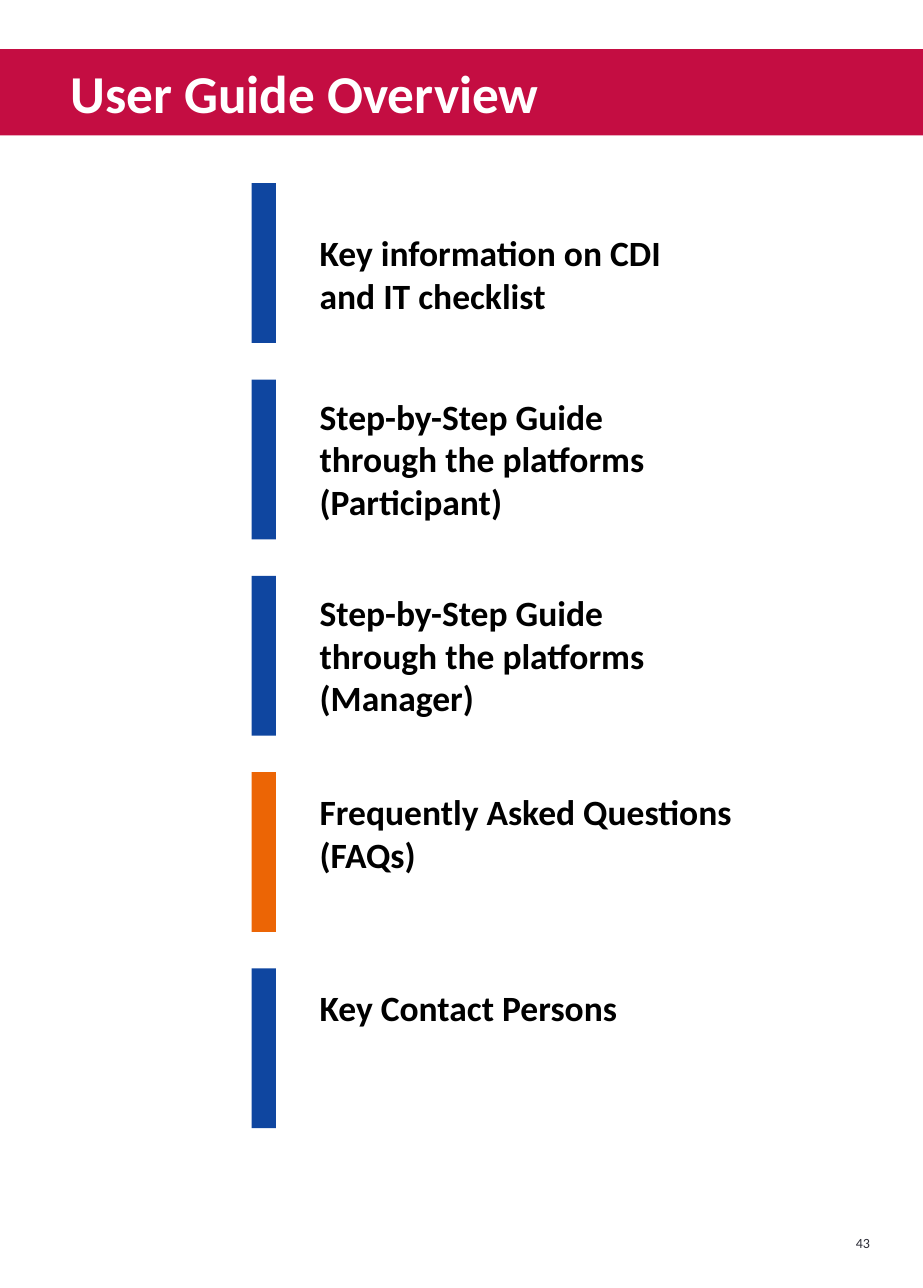
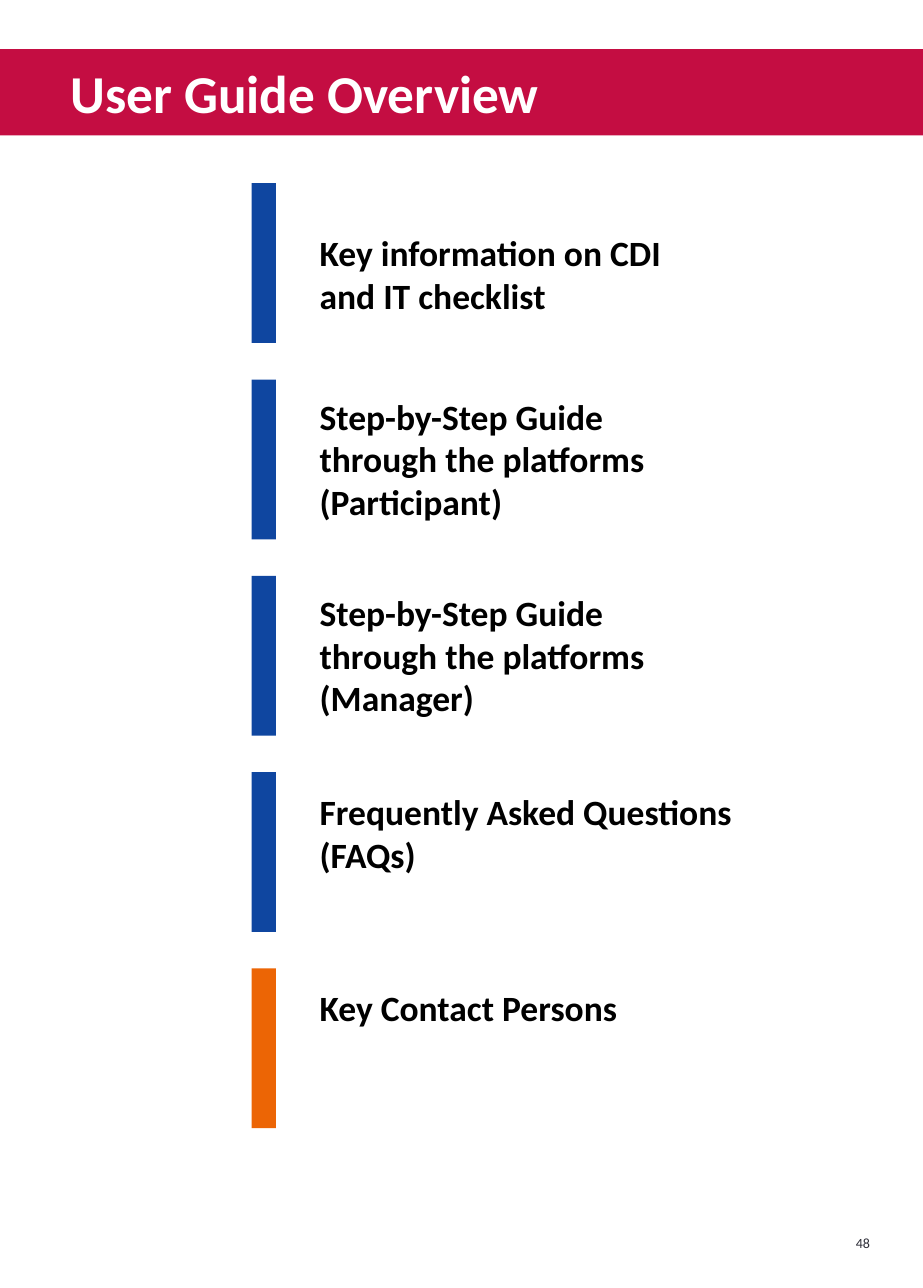
from pptx import Presentation
from pptx import util as u
from pptx.dml import color
from pptx.enum import shapes, text

COLORS = {"band": "C40D42", "bar": "0F46A0", "current": "EC6505",
          "title": "FFFFFF", "topic": "000000", "number": "2E2E38"}
FONTS = {
    "title": {"name": "Calibri", "size": u.Pt(36), "bold": True},
    "topic": {"name": "Calibri", "size": u.Pt(24), "bold": True},
    "number": {"name": "Calibri", "size": u.Pt(9.5), "bold": False},
}
TOPICS = [
    (["Key information on CDI and IT checklist"], 1.02, 9.98, 2.31),
    (["Step-by-Step Guide", "through the platforms (Participant)"], 0.24, 11.1, 3.33),
    (["Step-by-Step Guide", "through the platforms (Manager)"], 0.24, 11.1, 3.33),
    (["Frequently Asked Questions (FAQs)"], 0.3, 11.1, 2.31),
    (["Key Contact Persons"], 0.3, 11.1, 1.27),
]
PAGES = [("43", 3), ("48", 4)]
BAR_TOP, BAR_HEIGHT, BAR_PITCH = 4.37, 3.81, 4.68


def paint(shape, key):
    shape.fill.solid()
    shape.fill.fore_color.rgb = color.RGBColor.from_string(COLORS[key])


def write(box, lines, style, frame_format):
    frame = box.text_frame
    frame.text = "\n".join(lines)
    for name, value in frame_format.items():
        setattr(frame, name, value)
    for para in frame.paragraphs:
        para.alignment = text.PP_ALIGN.LEFT
        for name, value in FONTS[style].items():
            setattr(para.font, name, value)
        para.font.color.rgb = color.RGBColor.from_string(COLORS[style])


TITLE_FRAME = {"word_wrap": True, "auto_size": text.MSO_AUTO_SIZE.NONE,
               "vertical_anchor": text.MSO_ANCHOR.MIDDLE, "margin_left": u.Cm(1.68)}
TOPIC_FRAME = {"word_wrap": True, "auto_size": text.MSO_AUTO_SIZE.SHAPE_TO_FIT_TEXT}
NUMBER_FRAME = {"word_wrap": True, "vertical_anchor": text.MSO_ANCHOR.MIDDLE,
                "margin_left": 0, "margin_right": 0, "margin_top": 0, "margin_bottom": 0}

deck = Presentation()
deck.slide_width, deck.slide_height = u.Cm(22), u.Cm(30.71)
layout = deck.slide_layouts.get_by_name("Title Only")
band = layout.placeholders[0]
band.left, band.top, band.width, band.height = 0, u.Cm(1.17), deck.slide_width, u.Cm(2.06)
paint(band, "band")

for number, current in PAGES:
    page = deck.slides.add_slide(layout)
    title = page.shapes.title
    title.left, title.top, title.width, title.height = band.left, band.top, band.width, band.height
    paint(title, "band")
    write(title, ["User Guide Overview"], "title", TITLE_FRAME)

    for index, (lines, offset, width, height) in enumerate(TOPICS):
        top = BAR_TOP + index * BAR_PITCH
        group = page.shapes.add_group_shape()
        bar = group.shapes.add_shape(shapes.MSO_SHAPE.RECTANGLE,
                                     u.Cm(6), u.Cm(top), u.Cm(0.58), u.Cm(BAR_HEIGHT))
        bar.shadow.inherit = False
        bar.line.fill.background()
        paint(bar, "current" if index == current else "bar")
        topic = group.shapes.add_textbox(u.Cm(7.37), u.Cm(top + offset), u.Cm(width), u.Cm(height))
        write(topic, lines, "topic", TOPIC_FRAME)

    page_number = page.shapes.add_textbox(u.Cm(20.4), u.Cm(29.29), u.Cm(0.64), u.Cm(0.71))
    write(page_number, [number], "number", NUMBER_FRAME)

deck.save("out.pptx")
